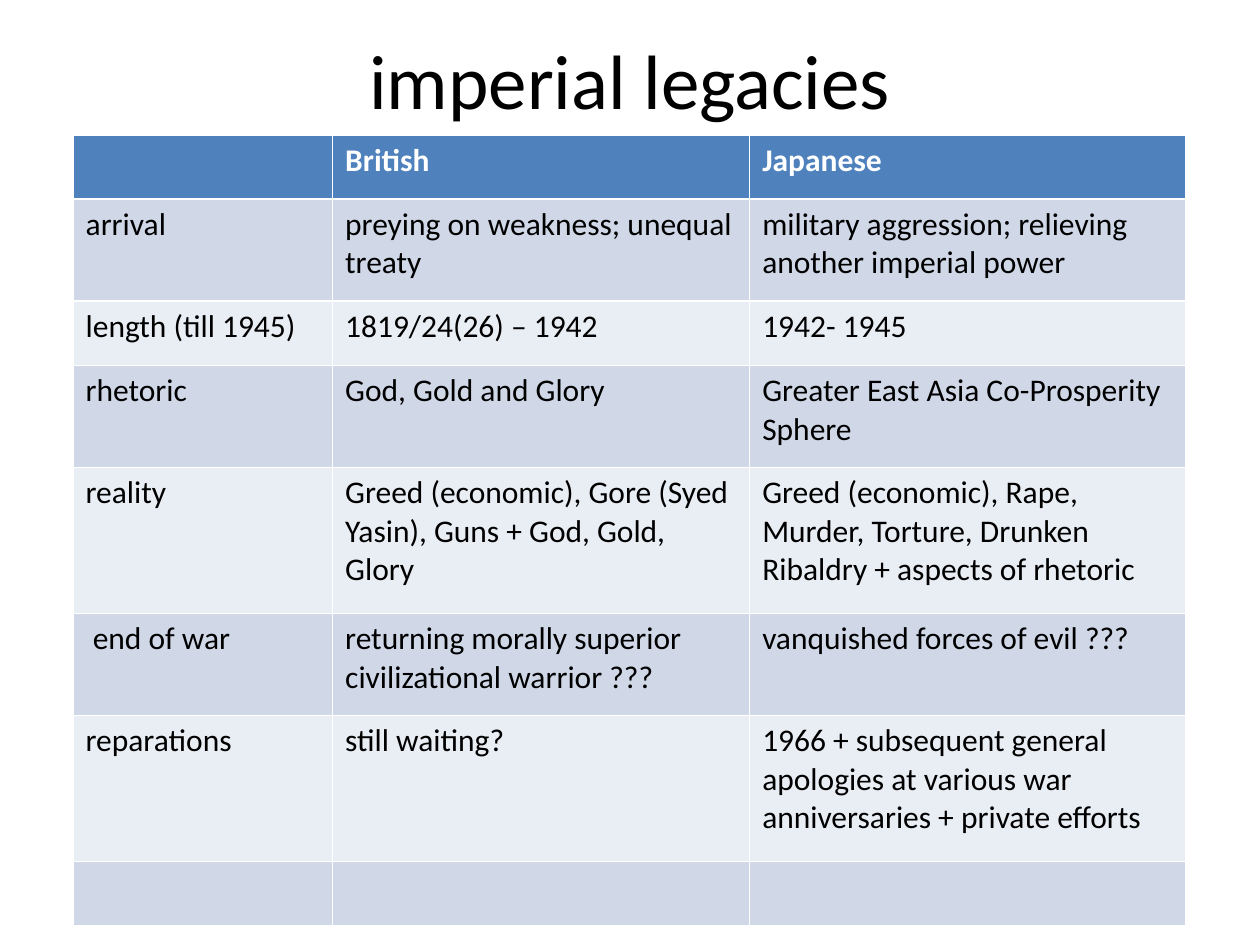
"""Build the imperial legacies comparison slide."""
from dataclasses import dataclass
from typing import Any, NamedTuple

from pptx import Presentation
from pptx.dml.color import RGBColor
from pptx.enum.text import MSO_ANCHOR, PP_ALIGN
from pptx.util import Pt

CENTER = PP_ALIGN.CENTER
MIDDLE = MSO_ANCHOR.MIDDLE
EMU_PER_PX = 9144
BLANK_LAYOUT = 6


@dataclass(frozen=True)
class Theme:
    font: str = "Calibri"
    title_size: int = 44
    cell_size: int = 18
    text: str = "000000"
    header_text: str = "FFFFFF"
    header_fill: str = "4F81BD"
    bands: tuple[str, str] = ("D0D8E8", "E9EDF4")


class Box(NamedTuple):
    left: int
    top: int
    width: int
    height: int


class Row(NamedTuple):
    height: int
    topic: str
    british: str
    japanese: str


THEME = Theme()
SLIDE_SIZE = (1000, 750)
TITLE_BOX = Box(50, 0, 900, 125)
TABLE_ORIGIN = (58, 107)
COLUMN_WIDTHS = (206, 331, 346)
ONE_LINE, TWO_LINES, THREE_LINES = 51, 81, 116
ROWS = (
    Row(ONE_LINE, "", "British", "Japanese"),
    Row(TWO_LINES, "arrival", "preying on weakness; unequal treaty",
        "military aggression; relieving another imperial power"),
    Row(ONE_LINE, "length (till 1945)", "1819/24(26) – 1942", "1942- 1945"),
    Row(TWO_LINES, "rhetoric", "God, Gold and Glory",
        "Greater East Asia Co-Prosperity Sphere"),
    Row(THREE_LINES, "reality",
        "Greed (economic), Gore (Syed Yasin), Guns + God, Gold, Glory",
        "Greed (economic), Rape, Murder, Torture, Drunken Ribaldry + aspects of rhetoric"),
    Row(TWO_LINES, " end of war",
        "returning morally superior civilizational warrior ???",
        "vanquished forces of evil ???"),
    Row(THREE_LINES, "reparations", "still waiting?",
        "1966 + subsequent general apologies at various war anniversaries + private efforts"),
    Row(ONE_LINE, "", "", ""),
)


def px(length: int) -> int:
    return length * EMU_PER_PX


def apply_format(target: Any, values: dict[str, Any]) -> None:
    for name, value in values.items():
        setattr(target, name, value)


def write_text(paragraph: Any, text: str, size: int, color: str, bold: bool = False) -> None:
    run = paragraph.add_run()
    run.text = text
    apply_format(run.font, {"name": THEME.font, "size": Pt(size), "bold": bold})
    run.font.color.rgb = RGBColor.from_string(color)


def draw_title(slide: Any, text: str, box: Box) -> None:
    frame = slide.shapes.add_textbox(*map(px, box)).text_frame
    apply_format(frame, {"word_wrap": True, "vertical_anchor": MIDDLE})
    paragraph = frame.paragraphs[0]
    paragraph.alignment = CENTER
    write_text(paragraph, text, THEME.title_size, THEME.text)


def draw_cell(cell: Any, text: str, fill: str, color: str, bold: bool) -> None:
    cell.fill.solid()
    cell.fill.fore_color.rgb = RGBColor.from_string(fill)
    if text:
        write_text(cell.text_frame.paragraphs[0], text, THEME.cell_size, color, bold)


def draw_table(slide: Any, rows: tuple[Row, ...]) -> None:
    box = Box(*TABLE_ORIGIN, sum(COLUMN_WIDTHS), sum(row.height for row in rows))
    table = slide.shapes.add_table(len(rows), len(COLUMN_WIDTHS), *map(px, box)).table
    for column, width in zip(table.columns, COLUMN_WIDTHS):
        column.width = px(width)
    for index, (table_row, row) in enumerate(zip(table.rows, rows)):
        table_row.height = px(row.height)
        header = index == 0
        fill = THEME.header_fill if header else THEME.bands[(index - 1) % 2]
        color = THEME.header_text if header else THEME.text
        for cell, text in zip(table_row.cells, row[1:]):
            draw_cell(cell, text, fill, color, header)


def main() -> None:
    presentation = Presentation()
    width, height = map(px, SLIDE_SIZE)
    apply_format(presentation, {"slide_width": width, "slide_height": height})
    slide = presentation.slides.add_slide(presentation.slide_layouts[BLANK_LAYOUT])
    draw_title(slide, "imperial legacies", TITLE_BOX)
    draw_table(slide, ROWS)
    presentation.save("out.pptx")


if __name__ == "__main__":
    main()
